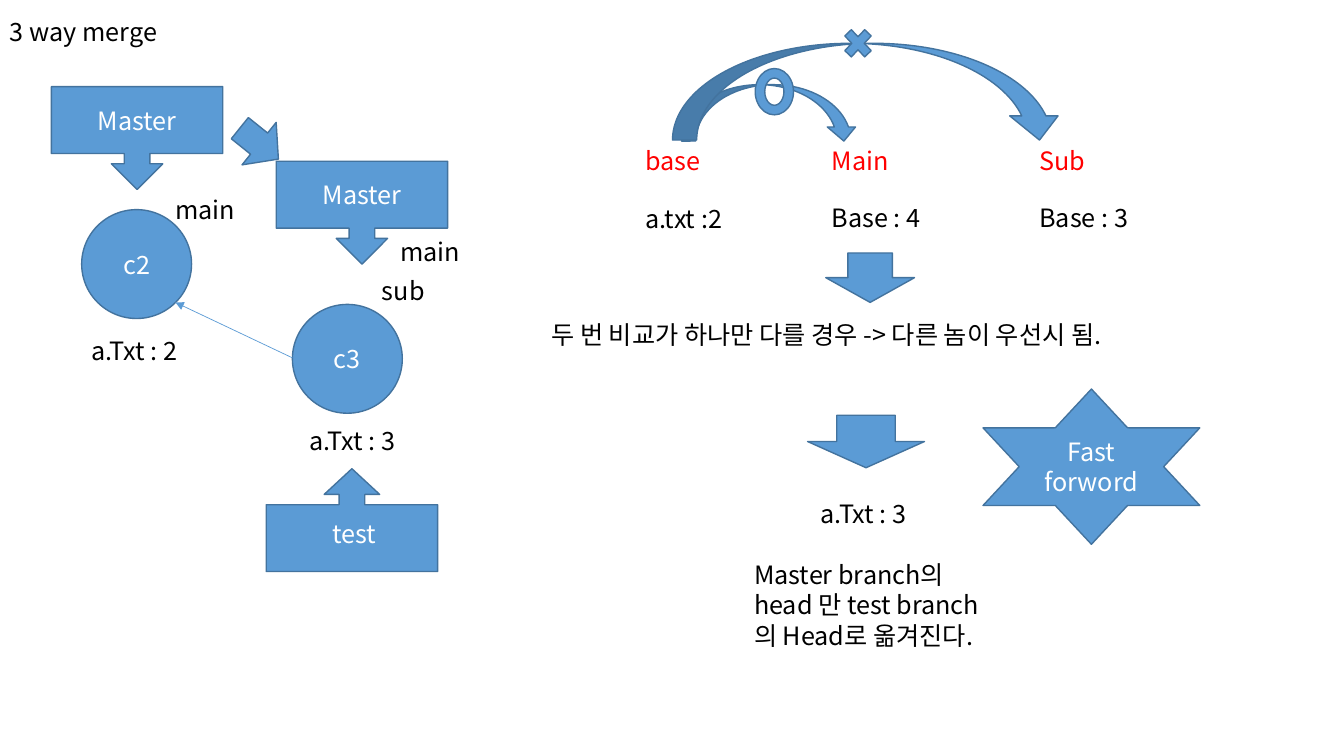
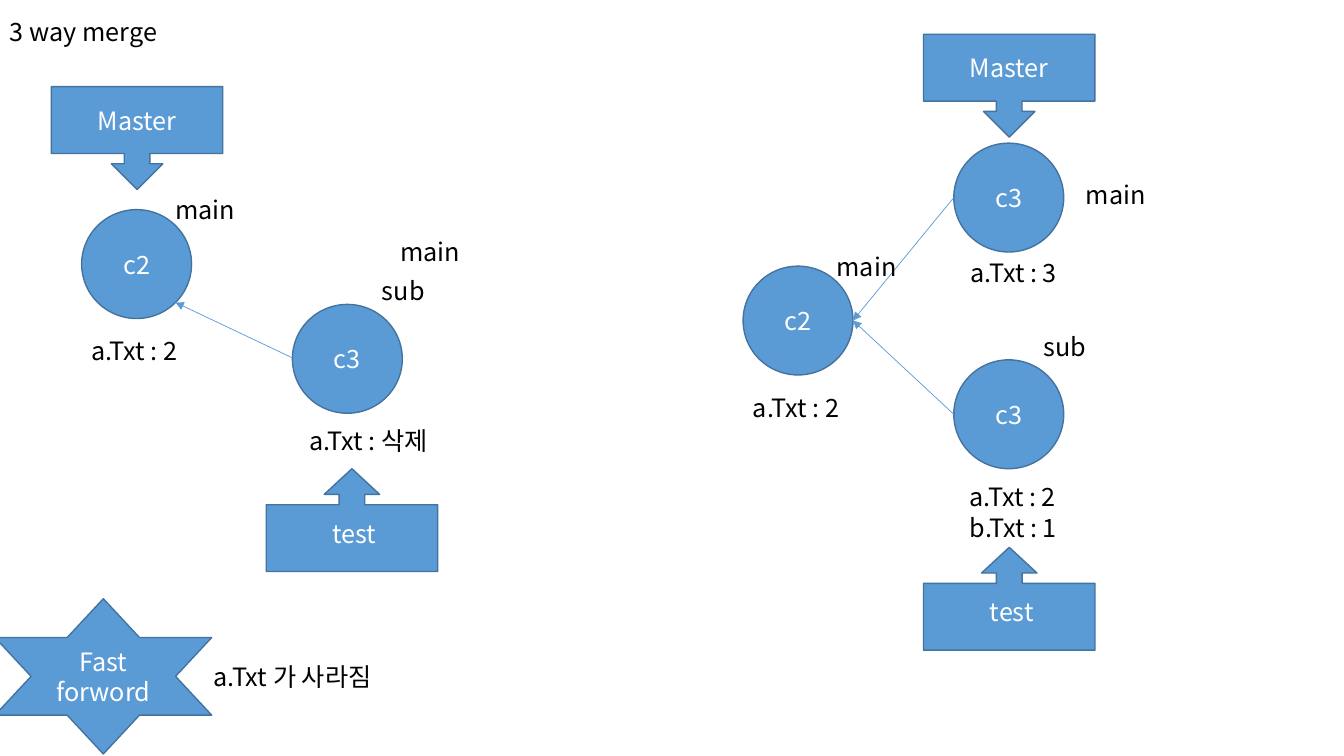
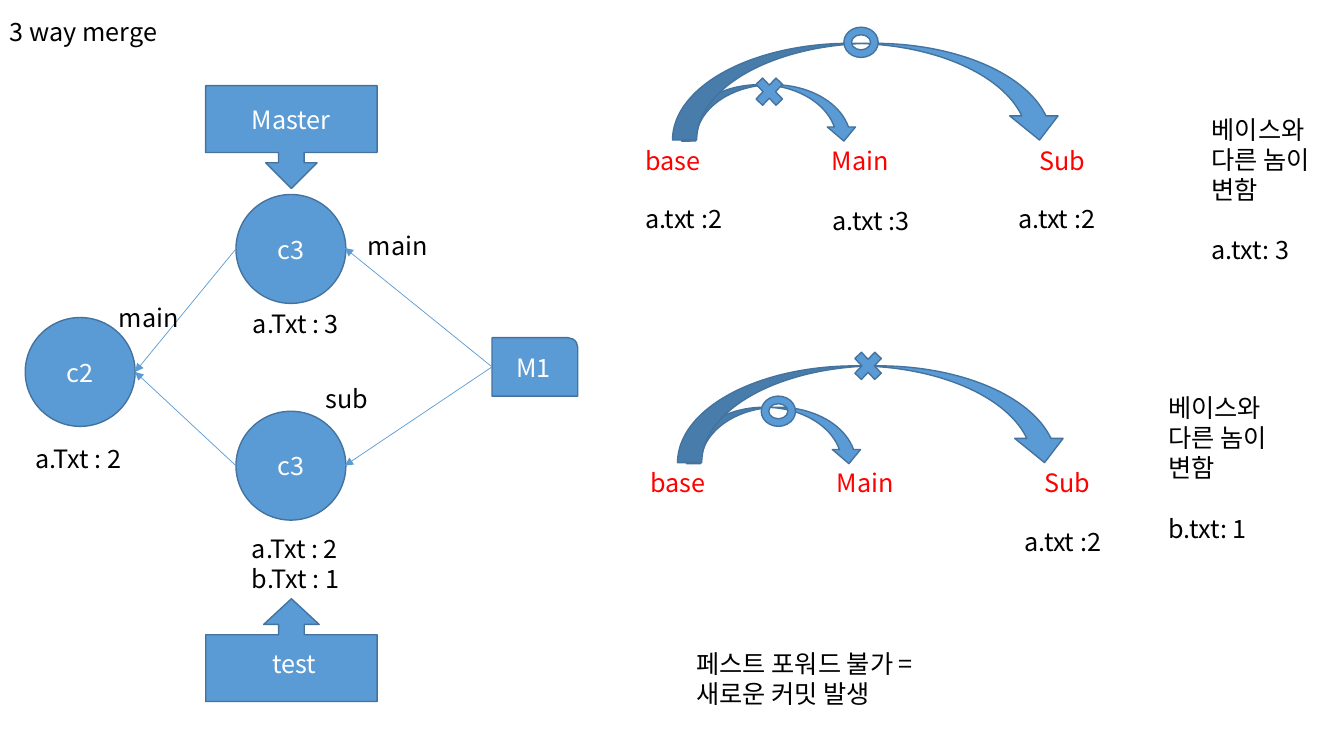
"""Build three slides explaining the three-way merge of two branches."""

from dataclasses import dataclass

import lxml.etree
import pptx
import pptx.dml.color
import pptx.enum.dml
import pptx.enum.shapes
import pptx.enum.text
import pptx.oxml
import pptx.oxml.ns
import pptx.shapes.autoshape
import pptx.shapes.connector
import pptx.slide
import pptx.util

Inches = pptx.util.Inches
Preset = pptx.enum.shapes.MSO_SHAPE
Slide = pptx.slide.Slide
Shape = pptx.shapes.autoshape.Shape
Point = tuple[float, float]

FONT = "Noto Sans CJK KR"
TEXT_SIZE = 18
LINE_HEIGHT = 21.6
BLUE = "5B9BD5"
OUTLINE = "43739E"
WHITE = "FFFFFF"
BLACK = "000000"
RED = "FF0000"

COMMIT_SIZE = (1.09, 1.08)
CALLOUT_SIZE = (1.7, 1.02)
STAR_SIZE = (2.15, 1.54)
CROSS_SIZE = (0.38, 0.4)
RING_SIZE = (0.34, 0.3)


@dataclass(frozen=True)
class Label:
    text: str
    left: float
    top: float
    width: float = 1.16
    height: float = 0.4
    color: str = BLACK
    gap: float = 0


@dataclass(frozen=True)
class Figure:
    preset: Preset
    left: float
    top: float
    size: Point
    text: str = ""
    rotation: float = 0


def rgb(value: str) -> pptx.dml.color.RGBColor:
    return pptx.dml.color.RGBColor.from_string(value)


def format_text(shape: Shape, color: str) -> None:
    for paragraph in shape.text_frame.paragraphs:
        for run in paragraph.runs:
            run.font.name = FONT
            run.font.size = pptx.util.Pt(TEXT_SIZE)
            run.font.color.rgb = rgb(color)
            east_asian = lxml.etree.SubElement(run.font._element, pptx.oxml.ns.qn("a:ea"))
            east_asian.set("typeface", FONT)


def add_label(slide: Slide, label: Label, offset: Point = (0, 0)) -> None:
    shape = slide.shapes.add_textbox(
        Inches(label.left + offset[0]), Inches(label.top + offset[1]),
        Inches(label.width), Inches(label.height),
    )
    text_frame = shape.text_frame
    text_frame.text = label.text
    text_frame.word_wrap = True
    text_frame.auto_size = pptx.enum.text.MSO_AUTO_SIZE.SHAPE_TO_FIT_TEXT
    for paragraph in text_frame.paragraphs[1:]:
        paragraph.space_before = pptx.util.Pt(label.gap)
    format_text(shape, label.color)


def add_figure(slide: Slide, figure: Figure, offset: Point = (0, 0)) -> Shape:
    width, height = figure.size
    shape = slide.shapes.add_shape(
        figure.preset, Inches(figure.left + offset[0]), Inches(figure.top + offset[1]),
        Inches(width), Inches(height),
    )
    shape.shadow.inherit = False
    shape.fill.solid()
    shape.fill.fore_color.rgb = rgb(BLUE)
    shape.line.color.rgb = rgb(OUTLINE)
    shape.line.width = pptx.util.Pt(1)
    shape.rotation = figure.rotation
    if figure.text:
        text_frame = shape.text_frame
        text_frame.text = figure.text
        text_frame.vertical_anchor = pptx.enum.text.MSO_ANCHOR.MIDDLE
        text_frame.paragraphs[0].alignment = pptx.enum.text.PP_ALIGN.CENTER
        format_text(shape, WHITE)
    return shape


def add_link(
    slide: Slide, start: Point, end: Point, offset: Point = (0, 0)
) -> pptx.shapes.connector.Connector:
    connector = slide.shapes.add_connector(
        pptx.enum.shapes.MSO_CONNECTOR.STRAIGHT,
        Inches(start[0] + offset[0]), Inches(start[1] + offset[1]),
        Inches(end[0] + offset[0]), Inches(end[1] + offset[1]),
    )
    connector.line.color.rgb = rgb(BLUE)
    connector.line.width = pptx.util.Pt(0.5)
    line = connector.line._get_or_add_ln()
    lxml.etree.SubElement(line, pptx.oxml.ns.qn("a:tailEnd")).set("type", "triangle")
    lxml.etree.SubElement(connector._element.spPr, pptx.oxml.ns.qn("a:effectLst"))
    return connector


def add_commit(slide: Slide, text: str, left: float, top: float, offset: Point = (0, 0)) -> None:
    add_figure(slide, Figure(Preset.OVAL, left, top, COMMIT_SIZE, text), offset)


def add_master(slide: Slide, left: float, top: float, offset: Point = (0, 0)) -> None:
    add_figure(slide, Figure(Preset.DOWN_ARROW_CALLOUT, left, top, CALLOUT_SIZE, "Master"), offset)


def add_test(slide: Slide, left: float, top: float, offset: Point = (0, 0)) -> None:
    figure = Figure(Preset.DOWN_ARROW_CALLOUT, left, top, CALLOUT_SIZE, rotation=180)
    callout = add_figure(slide, figure, offset)
    callout.adjustments[1] = 0.27
    callout.adjustments[3] = 0.65
    add_label(slide, Label("test", left + 0.56, top + 0.44, 0.96, color=WHITE), offset)


def add_fast_forward(slide: Slide, left: float, top: float) -> None:
    add_figure(slide, Figure(Preset.STAR_6_POINT, left, top, STAR_SIZE, "Fast forword"))


def add_linear_history(slide: Slide, test_content: str) -> None:
    add_commit(slide, "c2", 0.81, 2.08)
    add_commit(slide, "c3", 2.9, 3.02)
    add_link(slide, (2.9, 3.55), (1.74, 3))
    add_master(slide, 0.51, 0.86)
    add_test(slide, 2.64, 4.65)
    for label in (
        Label("main", 1.64, 1.88),
        Label("main", 3.87, 2.3),
        Label("sub", 3.69, 2.68),
        Label("a.Txt : 2", 0.81, 3.28),
        Label(test_content, 2.97, 4.17, 1.7),
    ):
        add_label(slide, label)


def add_forked_history(slide: Slide, offset: Point = (0, 0)) -> None:
    add_commit(slide, "c2", 0.25, 3.15, offset)
    for top in (1.93, 4.08):
        add_commit(slide, "c3", 2.34, top, offset)
        add_link(slide, (2.34, top + 0.54), (1.34, 3.69), offset)
    add_master(slide, 2.04, 0.85, offset)
    add_test(slide, 2.04, 5.94, offset)
    for label in (
        Label("main", 1.08, 2.95),
        Label("main", 3.55, 2.24),
        Label("sub", 3.13, 3.75),
        Label("a.Txt : 2", 0.25, 4.35),
        Label("a.Txt : 3", 2.41, 3.01),
        Label("a.Txt : 2\nb.Txt : 1", 2.4, 5.24, height=0.71),
    ):
        add_label(slide, label, offset)


def add_comparison(slide: Slide, marks: tuple[Figure, ...], offset: Point = (0, 0)) -> None:
    for text, left in (("base", 6.3), ("Main", 8.15), ("Sub", 10.21)):
        add_label(slide, Label(text, left, 1.39, 0.96, color=RED), offset)
    add_figure(slide, Figure(Preset.CURVED_DOWN_ARROW, 6.76, 0.84, (1.75, 0.56)), offset)
    add_figure(slide, Figure(Preset.CURVED_DOWN_ARROW, 6.67, 0.43, (3.88, 0.96)), offset)
    for mark in marks:
        add_figure(slide, mark)


def build_fast_forward(slide: Slide) -> None:
    add_linear_history(slide, "a.Txt : 3")
    add_master(slide, 2.74, 1.6)
    add_comparison(slide, (
        Figure(Preset.MATH_MULTIPLY, 8.32, 0.23, CROSS_SIZE),
        Figure(Preset.DONUT, 7.49, 0.68, (0.38, 0.46)),
    ))
    for arrow in (
        Figure(Preset.DOWN_ARROW, 2.3, 1.18, (0.54, 0.49), rotation=308.8),
        Figure(Preset.DOWN_ARROW, 8.19, 2.51, (0.88, 0.49)),
        Figure(Preset.DOWN_ARROW, 8.01, 4.12, (1.16, 0.52)),
    ):
        add_figure(slide, arrow)
    for label in (
        Label("a.txt :2", 6.3, 1.97),
        Label("Base : 4", 8.15, 1.96, 1.37),
        Label("Base : 3", 10.21, 1.96, 1.23),
        Label("두 번 비교가 하나만 다를 경우 -> 다른 놈이 우선시 됨.", 5.37, 3.12, 6.47),
        Label("a.Txt : 3", 8.04, 4.89, 2.65),
        Label("Master branch의 head 만 test branch의 Head로 옮겨진다.", 7.38, 5.5, 2.65, 1.01),
    ):
        add_label(slide, label)
    add_fast_forward(slide, 9.75, 3.86)


def build_deletion(slide: Slide) -> None:
    add_linear_history(slide, "a.Txt : 삭제")
    add_forked_history(slide, (7.12, -0.51))
    add_label(slide, Label("a.Txt 가 사라짐", 2.02, 6.51, 3.31))
    add_fast_forward(slide, -0.05, 5.94)


def build_merge_commit(slide: Slide) -> None:
    add_forked_history(slide)
    merge = add_figure(slide, Figure(Preset.ROUND_1_RECTANGLE, 4.88, 3.35, (0.85, 0.58), "M1"))
    for parent_middle in (2.46, 4.62):
        link = add_link(slide, (4.88, 3.64), (3.42, parent_middle))
        link.begin_connect(merge, 1)
    add_comparison(slide, (
        Figure(Preset.MATH_MULTIPLY, 7.44, 0.71, CROSS_SIZE),
        Figure(Preset.DONUT, 8.37, 0.27, RING_SIZE),
    ))
    add_comparison(slide, (
        Figure(Preset.MATH_MULTIPLY, 8.42, 3.43, CROSS_SIZE),
        Figure(Preset.DONUT, 7.55, 3.93, RING_SIZE),
    ), (0.05, 3.2))
    for label in (
        Label("a.txt :2", 6.3, 1.97),
        Label("a.txt :3", 8.16, 1.99),
        Label("a.txt :2", 10, 1.97),
        Label("a.txt :2", 10.06, 5.17),
        Label("베이스와 다른 놈이 변함\na.txt: 3", 11.92, 1.08, 1.35, 1.62, gap=LINE_HEIGHT),
        Label("베이스와 다른 놈이 변함\nb.txt: 1", 11.49, 3.84, 1.35, 1.62, gap=LINE_HEIGHT),
        Label("페스트 포워드 불가 = 새로운 커밋 발생", 6.81, 6.38, 2.69, 0.71),
    ):
        add_label(slide, label)


def main() -> None:
    presentation = pptx.Presentation()
    presentation.slide_width = Inches(13.33)
    presentation.slide_height = Inches(7.5)
    for build in (build_fast_forward, build_deletion, build_merge_commit):
        slide = presentation.slides.add_slide(presentation.slide_layouts[6])
        add_label(slide, Label("3 way merge", 0, 0.11, 2.42))
        build(slide)
    presentation.save("out.pptx")


if __name__ == "__main__":
    main()
